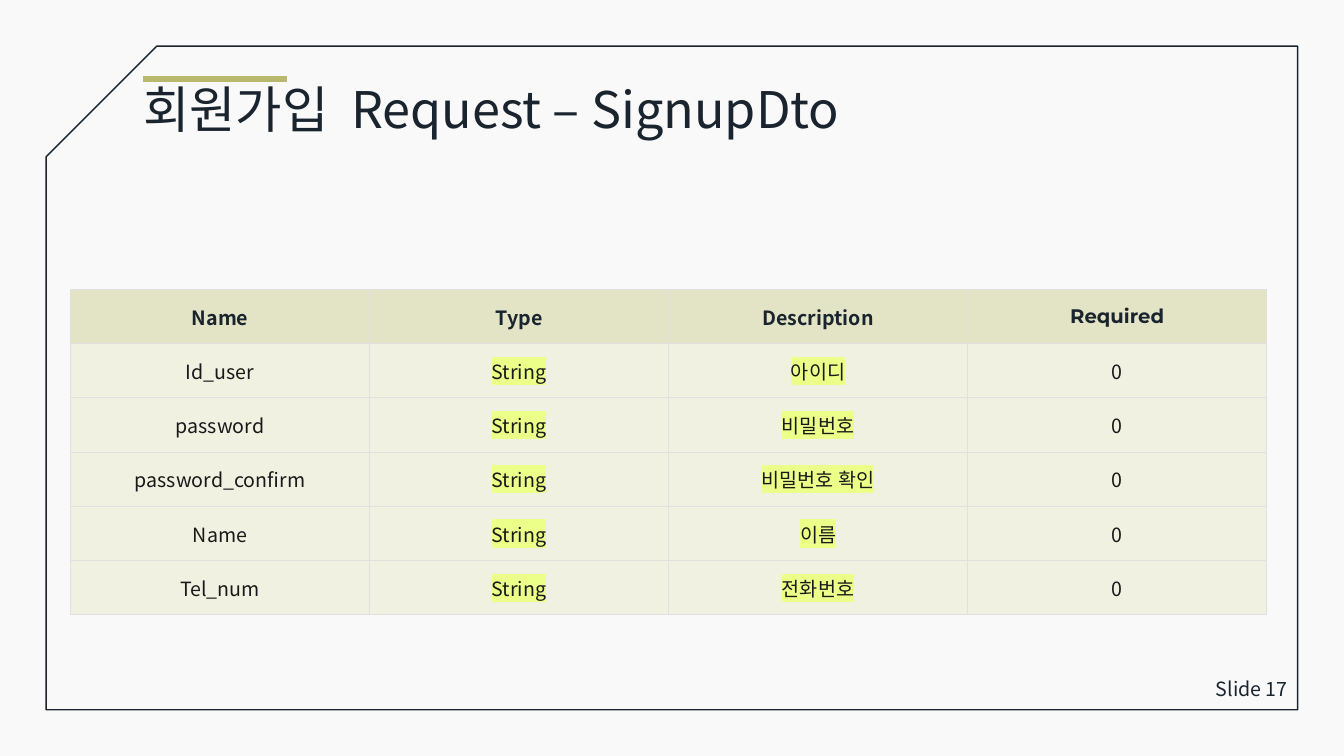
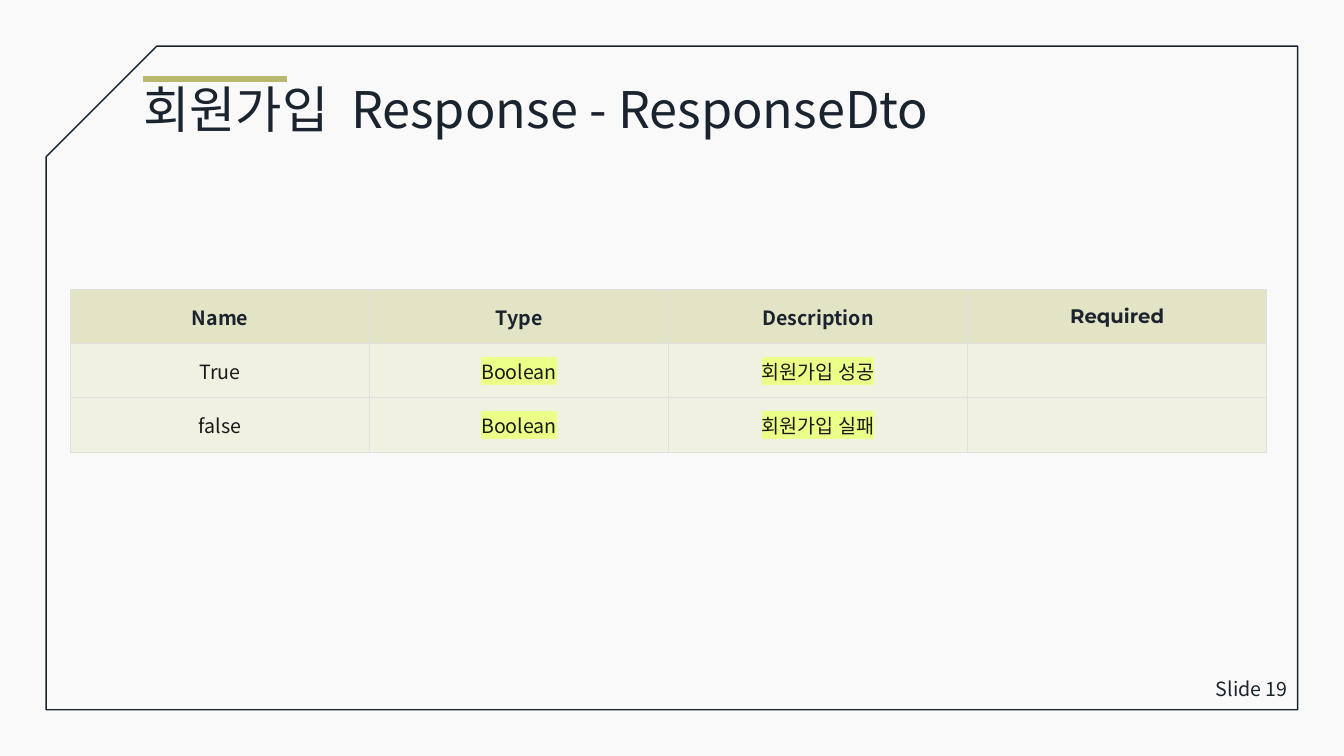
from dataclasses import dataclass

from lxml import etree
from pptx import Presentation
from pptx.dml.color import RGBColor
from pptx.enum.shapes import MSO_CONNECTOR, MSO_SHAPE
from pptx.enum.text import MSO_ANCHOR, MSO_AUTO_SIZE, PP_ALIGN
from pptx.oxml.ns import qn
from pptx.util import Pt

STRAIGHT = MSO_CONNECTOR.STRAIGHT
SNIPPED = MSO_SHAPE.SNIP_1_RECTANGLE
TOP, MIDDLE = MSO_ANCHOR.TOP, MSO_ANCHOR.MIDDLE
LEFT, CENTER, RIGHT = PP_ALIGN.LEFT, PP_ALIGN.CENTER, PP_ALIGN.RIGHT


@dataclass(frozen=True)
class Theme:
    background: str = "F9F9F9"
    ink: str = "1A242E"
    cell_ink: str = "191919"
    accent: str = "B8B96F"
    header_fill: str = "E3E3C5"
    body_fill: str = "F1F1E2"
    border: str = "E0E0E0"
    highlight: str = "ECFF88"
    font: str = "Noto Sans CJK KR"
    alternate_font: str = "Montserrat"
    title_size: int = 36
    text_size: int = 14


THEME = Theme()
HEADERS = ["Name", "Type", "Description", "Required"]
HIGHLIGHTED = {"Type", "Description"}
SLIDES = [
    ("Request – SignupDto", "Slide 17", [
        ["Id_user", "String", "아이디", "0"],
        ["password", "String", "비밀번호", "0"],
        ["password_confirm", "String", "비밀번호 확인", "0"],
        ["Name", "String", "이름", "0"],
        ["Tel_num", "String", "전화번호", "0"],
    ]),
    ("Response - ResponseDto", "Slide 19", [
        ["True", "Boolean", "회원가입 성공", ""],
        ["false", "Boolean", "회원가입 실패", ""],
    ]),
]
FRAME_LEFT, FRAME_TOP, FRAME_WIDTH, FRAME_HEIGHT = 33, 33, 894, 474
TABLE_LEFT, TABLE_TOP = 50.4, 206.7
COLUMN_WIDTH, ROW_HEIGHT = 213.6, 38.75


def add_run(paragraph, text, size=THEME.text_size, color=THEME.ink,
            font=THEME.font, bold=False, highlight=None):
    """Append a styled run, using the same font for Latin and Korean."""
    run = paragraph.add_run()
    run.text = text
    run.font.size = Pt(size)
    run.font.bold = bold
    run.font.color.rgb = RGBColor.from_string(color)
    run.font.name = font
    properties = run.font._element
    etree.SubElement(properties, qn("a:ea"), typeface=font)
    if highlight:
        marker = etree.Element(qn("a:highlight"))
        etree.SubElement(marker, qn("a:srgbClr"), val=highlight)
        properties.find(qn("a:solidFill")).addnext(marker)
    return run


def style_cell(cell, fill):
    cell.vertical_anchor = MIDDLE
    properties = cell._tc.get_or_add_tcPr()
    for side in ("a:lnL", "a:lnR", "a:lnT", "a:lnB"):
        line = etree.SubElement(properties, qn(side), w=str(Pt(1)))
        solid = etree.SubElement(line, qn("a:solidFill"))
        etree.SubElement(solid, qn("a:srgbClr"), val=THEME.border)
    cell.fill.solid()
    cell.fill.fore_color.rgb = RGBColor.from_string(fill)


presentation = Presentation()
presentation.slide_width = Pt(960)
presentation.slide_height = Pt(540)
background = presentation.slide_master.background.fill
background.solid()
background.fore_color.rgb = RGBColor.from_string(THEME.background)
title_only = presentation.slide_layouts[5]

for heading, slide_label, records in SLIDES:
    slide = presentation.slides.add_slide(title_only)

    # Frame with its cut corner at the top left
    frame = slide.shapes.add_shape(SNIPPED, Pt(FRAME_LEFT), Pt(FRAME_TOP),
                                   Pt(FRAME_WIDTH), Pt(FRAME_HEIGHT))
    frame.shadow.inherit = False
    frame.fill.background()
    frame.line.color.rgb = RGBColor.from_string(THEME.ink)
    frame.line.width = Pt(1)
    frame._element.spPr.find(qn("a:xfrm")).set("flipH", "1")

    accent = slide.shapes.add_connector(STRAIGHT, Pt(102), Pt(56.3),
                                        Pt(205), Pt(56.3))
    accent.line.color.rgb = RGBColor.from_string(THEME.accent)
    accent.line.width = Pt(4)
    etree.SubElement(accent._element.spPr, qn("a:effectLst"))

    # Title
    title = slide.shapes.title
    title.left, title.top = Pt(95), Pt(60.5)
    title.width, title.height = Pt(832), Pt(50.4)
    title_frame = title.text_frame
    title_frame.auto_size = MSO_AUTO_SIZE.NONE
    title_frame.word_wrap = True
    title_frame.vertical_anchor = TOP
    title_frame.margin_top = 0
    paragraph = title_frame.paragraphs[0]
    paragraph.alignment = LEFT
    paragraph.line_spacing = 0.9
    paragraph.space_before = Pt(0)
    add_run(paragraph, "회원가입", THEME.title_size)
    gap = add_run(paragraph, " ", THEME.title_size)
    gap.font._element.set("spc", "800")
    add_run(paragraph, heading, THEME.title_size)

    # Slide label
    label = slide.shapes.add_textbox(Pt(833), Pt(477.4), Pt(94), Pt(29.5))
    label.text_frame.word_wrap = True
    label.text_frame.vertical_anchor = MIDDLE
    paragraph = label.text_frame.paragraphs[0]
    paragraph.alignment = RIGHT
    add_run(paragraph, slide_label)

    # Field table
    rows = [HEADERS] + records
    table = slide.shapes.add_table(
        len(rows), len(HEADERS), Pt(TABLE_LEFT), Pt(TABLE_TOP),
        Pt(COLUMN_WIDTH * len(HEADERS)), Pt(ROW_HEIGHT * len(rows))).table
    table.first_row = False
    table.horz_banding = False
    for row_index, values in enumerate(rows):
        is_header = row_index == 0
        table.rows[row_index].height = Pt(ROW_HEIGHT)
        for column_index, (header, value) in enumerate(zip(HEADERS, values)):
            cell = table.cell(row_index, column_index)
            style_cell(cell, THEME.header_fill if is_header else THEME.body_fill)
            paragraph = cell.text_frame.paragraphs[0]
            paragraph.alignment = CENTER
            if is_header:
                font = THEME.alternate_font if value == "Required" else THEME.font
                add_run(paragraph, value, font=font, bold=True)
            elif value:
                marker_color = THEME.highlight if header in HIGHLIGHTED else None
                add_run(paragraph, value, color=THEME.cell_ink,
                        highlight=marker_color)

presentation.save("out.pptx")
